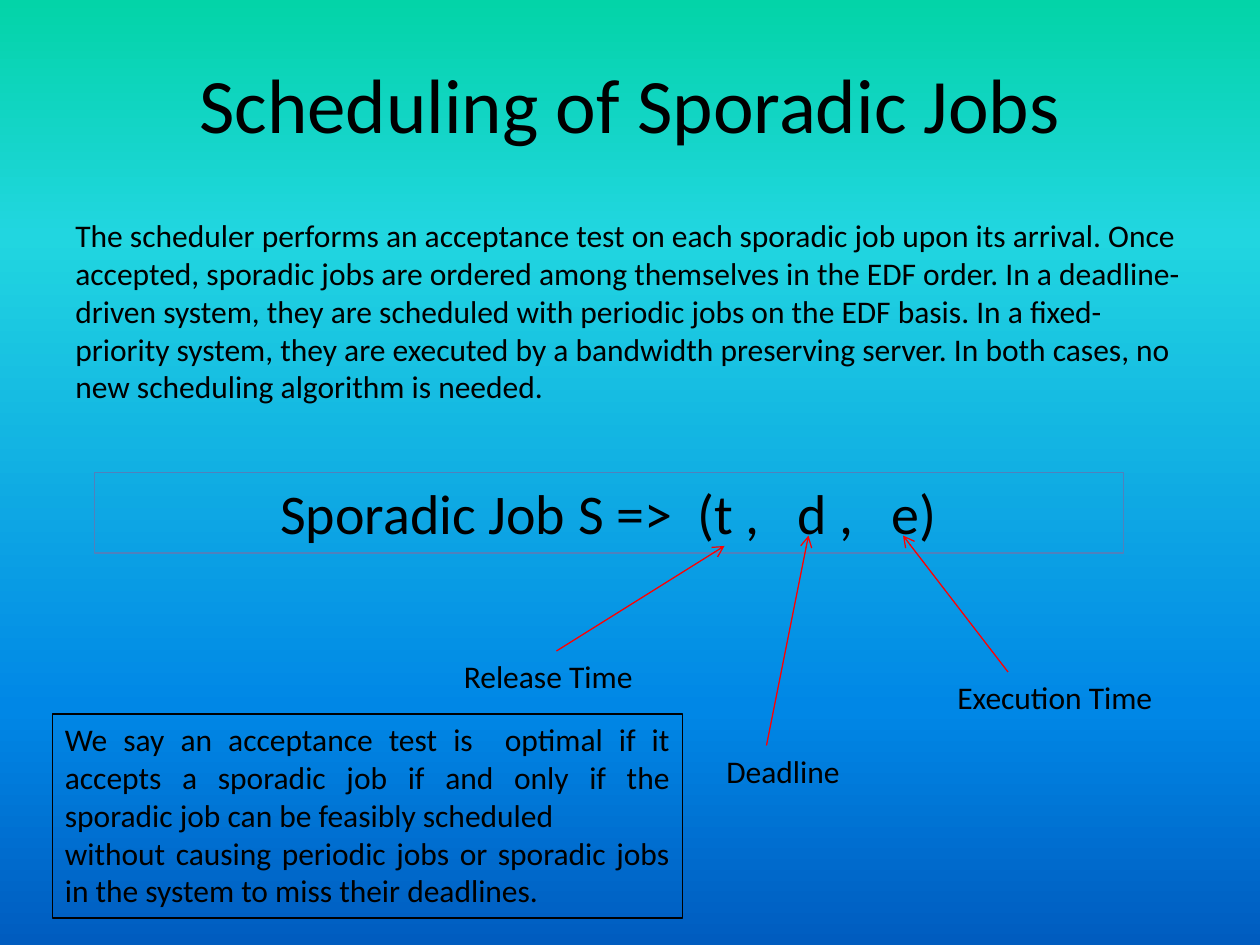
import pptx
import pptx.util
import pptx.dml.color
import pptx.enum.shapes
import pptx.enum.text
import pptx.oxml
import pptx.oxml.ns

Pt = pptx.util.Pt
Align = pptx.enum.text.PP_ALIGN
qn = pptx.oxml.ns.qn

HUES = {"ink": "000000", "frame": "4F81BD", "arrow": "FF0000"}
STOPS = [(0, "03D4A8"), (25, "21D6E0"), (75, "0087E6"), (100, "005CBF")]
FONT = "Calibri"


def color(name):
    return pptx.dml.color.RGBColor.from_string(HUES[name])


def style(frame, size, align):
    for para in frame.paragraphs:
        para.alignment = align
        for run in para.runs:
            run.font.name = FONT
            run.font.size = Pt(size)
            run.font.color.rgb = color("ink")


def add_text(slide, box, text, size=18, align=Align.LEFT, line=None):
    shape = slide.shapes.add_textbox(*map(Pt, box))
    frame = shape.text_frame
    frame.word_wrap = True
    frame.text = text
    style(frame, size, align)
    if line:
        shape.line.color.rgb = color(line)
        shape.line.width = Pt(0.75)


def add_arrow(slide, start, end):
    kind = pptx.enum.shapes.MSO_CONNECTOR.STRAIGHT
    link = slide.shapes.add_connector(kind, *map(Pt, start + end))
    link.line.color.rgb = color("arrow")
    link.line.width = Pt(0.75)
    tip = pptx.oxml.ns.nsdecls("a")
    link.line._get_or_add_ln().append(
        pptx.oxml.parse_xml(f'<a:tailEnd {tip} type="arrow"/>'))
    link.element.spPr.append(pptx.oxml.parse_xml(f"<a:effectLst {tip}/>"))


def paint_back(slide):
    fill = slide.background.fill
    fill.gradient()
    fill.gradient_angle = 270
    stops = slide.element.find(".//" + qn("a:gsLst"))
    for stop in list(stops):
        stops.remove(stop)
    for place, hue in STOPS:
        stops.append(pptx.oxml.parse_xml(
            f'<a:gs {pptx.oxml.ns.nsdecls("a")} pos="{place * 1000}">'
            f'<a:srgbClr val="{hue}"/></a:gs>'))


def add_title(slide, box):
    title = slide.shapes.title
    title.left, title.top, title.width, title.height = map(Pt, box)
    frame = title.text_frame
    frame.text = "Scheduling of Sporadic Jobs"
    frame.vertical_anchor = pptx.enum.text.MSO_ANCHOR.MIDDLE
    style(frame, 44, Align.CENTER)


def add_intro(slide, box):
    add_text(slide, box, (
        "The scheduler performs an acceptance test on each sporadic job upon "
        "its arrival. Once accepted, sporadic jobs are ordered among "
        "themselves in the EDF order. In a deadline-driven system, they are "
        "scheduled with periodic jobs on the EDF basis. In a fixed-priority "
        "system, they are executed by a bandwidth preserving server. In both "
        "cases, no new scheduling algorithm is needed."))


def add_model(slide, box):
    left, top, width, height = box
    # Framed formula
    add_text(slide, (left, top, width, 46),
             "Sporadic Job S =>  (t ,   d ,   e)", 32, Align.CENTER, "frame")
    # Labels, each with an arrow up to its term: x, y, tail shift, tip
    parts = [
        ("Release Time", 204, 102, 60, (360, 42)),
        ("Execution Time", 486, 114, 36, (462, 36)),
        ("Deadline", 354, 156, 30, (408, 36)),
    ]
    for text, x, y, shift, (tip_x, tip_y) in parts:
        x, y = left + x, top + y
        add_text(slide, (x, y, 138, 29), text)
        add_arrow(slide, (x + shift, y), (left + tip_x, top + tip_y))


def add_note(slide, box):
    add_text(slide, box, (
        "We say an acceptance test is  optimal if it accepts a sporadic job "
        "if and only if the sporadic job can be feasibly scheduled\n"
        "without causing periodic jobs or sporadic jobs in the system to miss "
        "their deadlines."), align=Align.JUSTIFY, line="ink")


def main():
    deck = pptx.Presentation()
    deck.slide_width, deck.slide_height = Pt(720), Pt(540)
    slide = deck.slides.add_slide(deck.slide_layouts.get_by_name("Title Only"))
    paint_back(slide)
    add_title(slide, (36, 21.6, 648, 74))
    add_intro(slide, (36, 120, 654, 138))
    add_model(slide, (54, 270, 588, 185))
    add_note(slide, (30, 408, 360, 116.6))
    deck.save("out.pptx")


if __name__ == "__main__":
    main()
